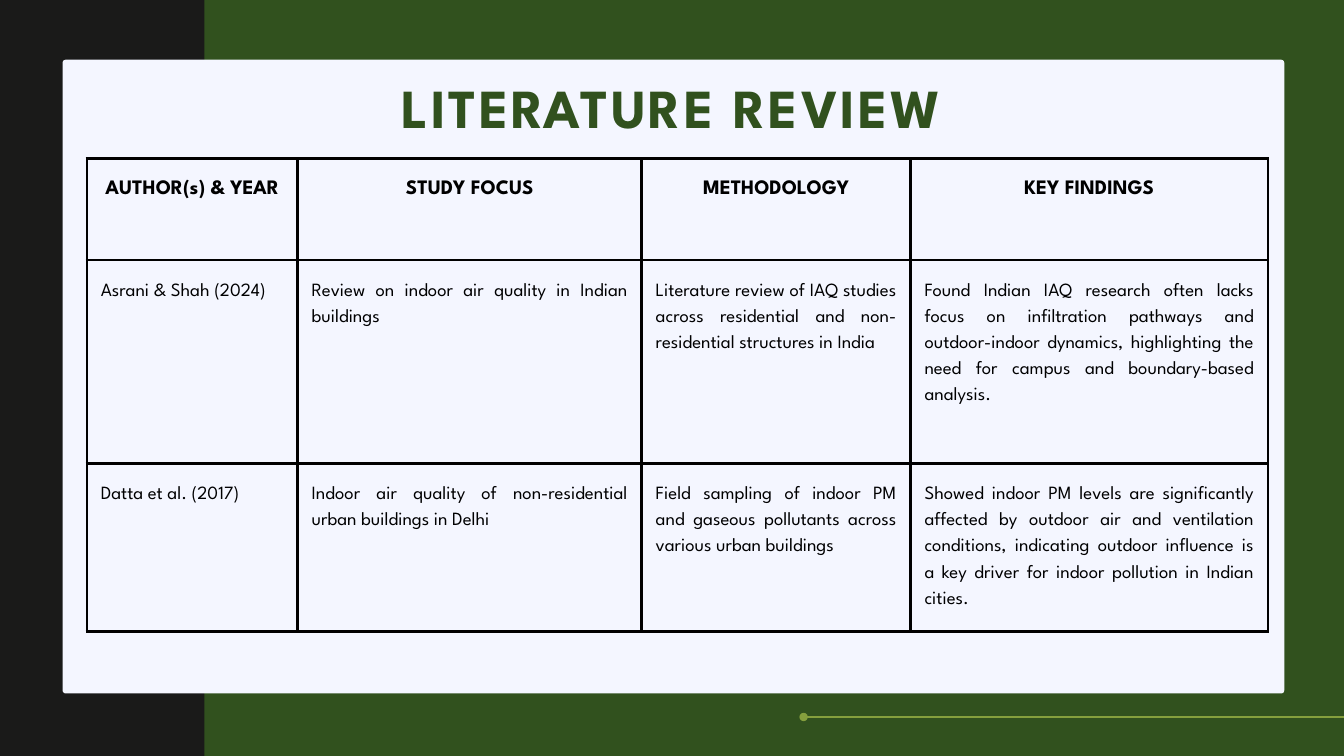
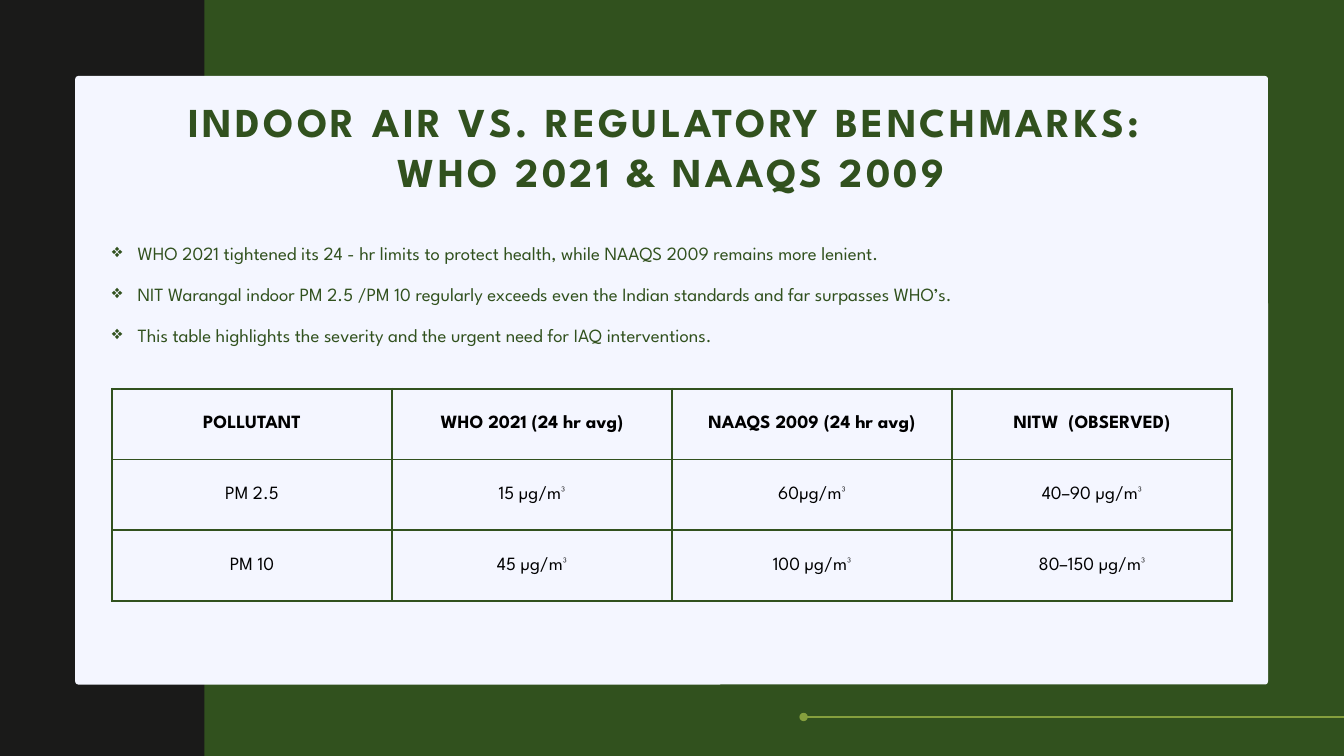
from pptx import Presentation
from pptx.dml.color import RGBColor
from pptx.enum.shapes import MSO_CONNECTOR as CONN, MSO_SHAPE as SHAPE
from pptx.enum.text import MSO_ANCHOR as ANCHOR, MSO_AUTO_SIZE as FIT, PP_ALIGN as ALIGN
from pptx.oxml.ns import qn
from pptx.util import Pt
from lxml.etree import SubElement

FONT = "League Spartan"
BLACK, DARK, GREEN, LIME, PALE = "000000", "1A1A19", "31511E", "859F3D", "F4F6FF"
W, H = 1440, 810
TITLE_ONLY = 5
MARGINS = ("margin_left", "margin_top", "margin_right", "margin_bottom")

REVIEW = [
    ["AUTHOR(s) & YEAR", "STUDY FOCUS", "METHODOLOGY", "KEY FINDINGS"],
    ["Asrani & Shah (2024)",
     "Review on indoor air quality in Indian buildings",
     "Literature review of IAQ studies across residential and non-residential structures in India",
     "Found Indian IAQ research often lacks focus on infiltration pathways and outdoor-indoor "
     "dynamics, highlighting the need for campus and boundary-based analysis."],
    ["Datta et al. (2017)",
     "Indoor air quality of non-residential urban buildings in Delhi",
     "Field sampling of indoor PM and gaseous pollutants across various urban buildings",
     "Showed indoor PM levels are significantly affected by outdoor air and ventilation "
     "conditions, indicating outdoor influence is a key driver for indoor pollution in "
     "Indian cities."],
]
LIMITS = [
    ["POLLUTANT", "WHO 2021 (24 hr avg)", "NAAQS 2009 (24 hr avg)", "NITW  (OBSERVED)"],
    ["PM 2.5", "15 µg/m³", "60µg/m³", "40–90 µg/m³"],
    ["PM 10", "45 µg/m³", "100 µg/m³", "80–150 µg/m³"],
]
POINTS = [
    "WHO 2021 tightened its 24 - hr limits to protect health, while NAAQS 2009 remains more lenient.",
    "NIT Warangal indoor PM 2.5 /PM 10 regularly exceeds even the Indian standards and far "
    "surpasses WHO’s.",
    "This table highlights the severity and the urgent need for IAQ interventions.",
]


def rgb(color):
    return RGBColor.from_string(color)


def apply(obj, **values):
    for name, value in values.items():
        setattr(obj, name, value)


def write(p, text, size, color, bold=False, align=ALIGN.LEFT, leading=1.0, spacing=0):
    apply(p, alignment=align, line_spacing=leading)
    r = p.add_run()
    r.text = text
    apply(r.font, name=FONT, size=Pt(size), bold=bold)
    r.font.color.rgb = rgb(color)
    if spacing:
        r._r.get_or_add_rPr().set("spc", str(int(spacing * 100)))


def set_frame(tf):
    apply(tf, word_wrap=True, auto_size=FIT.NONE, vertical_anchor=ANCHOR.TOP,
          **dict.fromkeys(MARGINS, 0))


def paragraphs(tf, count):
    return [tf.paragraphs[0]] + [tf.add_paragraph() for _ in range(count - 1)]


def add_block(s, kind, box, color):
    sp = s.shapes.add_shape(kind, *map(Pt, box))
    sp.shadow.inherit = False
    sp.fill.solid()
    sp.fill.fore_color.rgb = rgb(color)
    sp.line.fill.background()
    return sp


def add_rule(s, x, y):
    line = s.shapes.add_connector(CONN.STRAIGHT, Pt(x), Pt(y), Pt(W), Pt(y))
    line.line.width = Pt(3)
    line.line.color.rgb = rgb(LIME)
    SubElement(line.line._get_or_add_ln(), qn("a:headEnd"), type="oval")
    SubElement(line._element.spPr, qn("a:effectLst"))


def add_slide(prs, panel):
    s = prs.slides.add_slide(prs.slide_layouts[TITLE_ONLY])
    s.background.fill.solid()
    s.background.fill.fore_color.rgb = rgb(DARK)
    add_block(s, SHAPE.RECTANGLE, (219, 0, W - 219, H), GREEN)
    card = add_block(s, SHAPE.ROUNDED_RECTANGLE, panel, PALE)
    card.adjustments[0] = 3.3 / panel[3]
    add_rule(s, 861, 768.2)
    return s


def set_title(s, lines, box, size, **style):
    title = s.shapes.title
    s.shapes._spTree.append(title._element)
    apply(title, **dict(zip(("left", "top", "width", "height"), map(Pt, box))))
    set_frame(title.text_frame)
    for p, line in zip(paragraphs(title.text_frame, len(lines)), lines):
        write(p, line, size, GREEN, True, ALIGN.CENTER, **style)


def add_bullets(s, lines, box):
    tf = s.shapes.add_textbox(*map(Pt, box)).text_frame
    set_frame(tf)
    for i, (p, line) in enumerate(zip(paragraphs(tf, len(lines)), lines)):
        pPr = p._p.get_or_add_pPr()
        pPr.set("marL", str(Pt(27.4)))
        pPr.set("indent", str(-Pt(27.4)))
        SubElement(pPr, qn("a:buChar"), char="❖")
        write(p, line, 20, GREEN, leading=Pt(44 if i else 39.5))


def set_borders(cell, color, width):
    tcPr = cell._tc.get_or_add_tcPr()
    for i, side in enumerate(("lnL", "lnR", "lnT", "lnB")):
        ln = SubElement(tcPr, qn(f"a:{side}"), w=str(Pt(width)))
        SubElement(SubElement(ln, qn("a:solidFill")), qn("a:srgbClr"), val=color)
        tcPr.insert(i, ln)


def add_grid(s, rows, left, top, widths, heights, border, inset, anchor, style):
    table = s.shapes.add_table(len(rows), len(widths), Pt(left), Pt(top),
                               Pt(sum(widths)), Pt(sum(heights))).table
    apply(table, first_row=False, horz_banding=False)
    for column, width in zip(table.columns, widths):
        column.width = Pt(width)
    for i, (row, height) in enumerate(zip(rows, heights)):
        table.rows[i].height = Pt(height)
        for j, text in enumerate(row):
            cell = table.cell(i, j)
            apply(cell, vertical_anchor=anchor, **dict.fromkeys(MARGINS, Pt(inset)))
            cell.fill.background()
            set_borders(cell, *border)
            write(cell.text_frame.paragraphs[0], text, color=BLACK, bold=i == 0, **style(i, j))


def review_style(i, j):
    if i == 0:
        return dict(size=22, align=ALIGN.CENTER, leading=Pt(28))
    return dict(size=20, align=ALIGN.JUSTIFY if j else ALIGN.LEFT, leading=Pt(28))


def limits_style(i, j):
    return dict(size=20, align=ALIGN.CENTER)


def literature_slide(prs):
    s = add_slide(prs, (67, 64, 1309, 679))
    add_grid(s, REVIEW, 93, 170, (226, 368.6, 288, 383), (108.7, 218.2, 180),
             (BLACK, 3), 15, ANCHOR.TOP, review_style)
    set_title(s, ["LITERATURE REVIEW"], (80.6, 78.5, 1278, 71.3), 59,
              leading=Pt(70.8), spacing=3)


def benchmark_slide(prs):
    s = add_slide(prs, (80.6, 81.4, 1278, 652))
    set_title(s, ["INDOOR AIR VS. REGULATORY BENCHMARKS: ", "WHO 2021 & NAAQS 2009"],
              (80.6, 103.7, 1278, 106.6), 44, spacing=3.5)
    add_bullets(s, POINTS, (120, 243.4, 1200, 141))
    add_grid(s, LIMITS, 120, 416.5, [300] * 4, [75.8] * 3,
             (GREEN, 2.25), 0, ANCHOR.MIDDLE, limits_style)


def main():
    prs = Presentation()
    apply(prs, slide_width=Pt(W), slide_height=Pt(H))
    literature_slide(prs)
    benchmark_slide(prs)
    prs.save("out.pptx")


if __name__ == "__main__":
    main()
